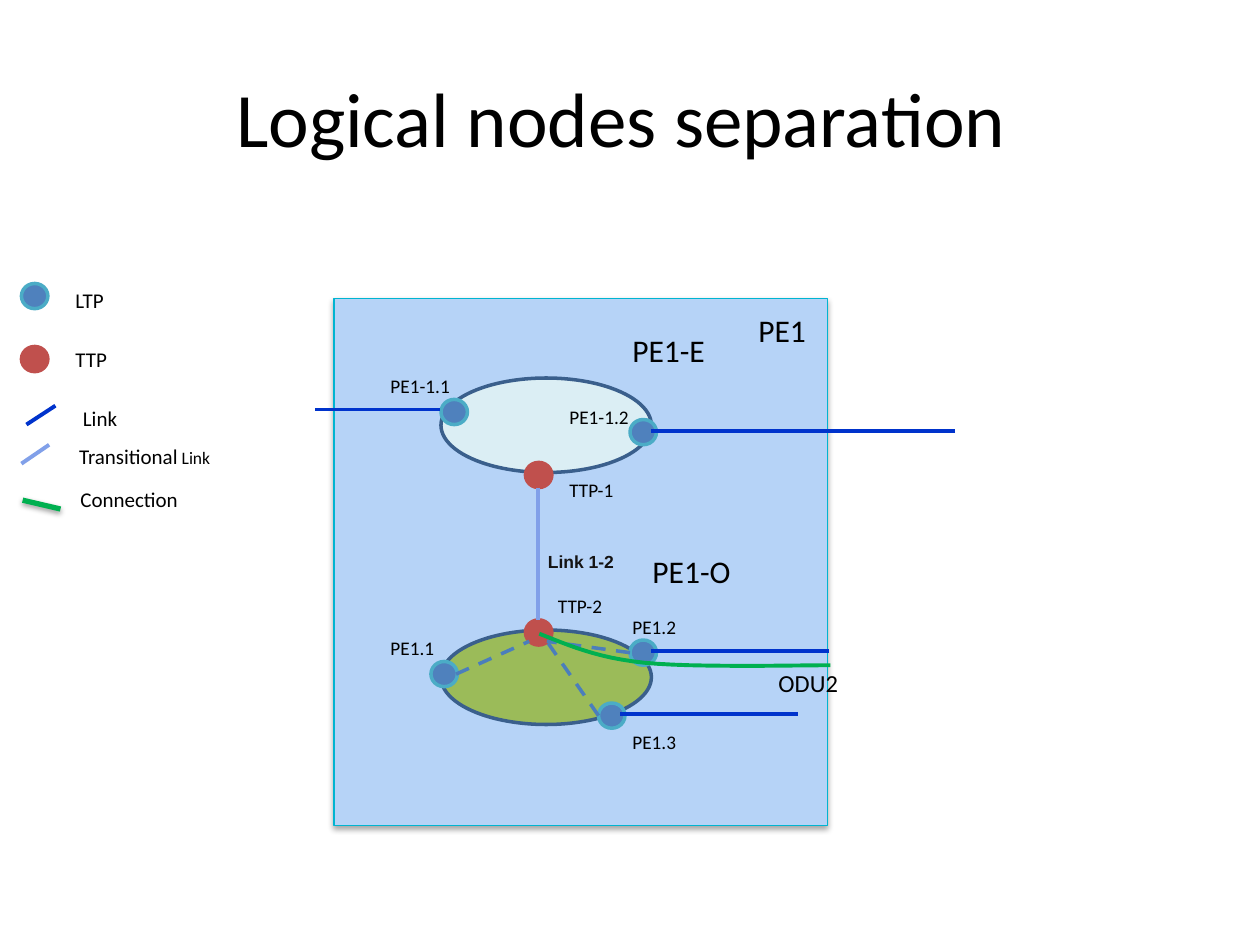
"""Builds the slide on logical nodes separation."""
from dataclasses import dataclass

from lxml import etree
from pptx import Presentation
from pptx.dml.color import RGBColor
from pptx.enum.dml import MSO_LINE
from pptx.enum.shapes import MSO_CONNECTOR, MSO_SHAPE
from pptx.enum.text import MSO_ANCHOR, PP_ALIGN
from pptx.oxml.ns import qn
from pptx.util import Inches, Pt


@dataclass(frozen=True)
class Theme:
    """Colours, fonts and type sizes."""
    font: str = "Calibri"
    link_font: str = "Arial"
    text: str = "000000"
    link_text: str = "141313"
    panel: str = "B6D3F7"
    panel_edge: str = "00B4D1"
    ethernet: str = "DBEEF4"
    optical: str = "9BBB59"
    node_edge: str = "3A5F8C"
    ltp: str = "4F81BD"
    ltp_edge: str = "4BACC6"
    ttp: str = "C0504D"
    link: str = "0033CC"
    transitional: str = "81A0E9"
    connection: str = "00B050"
    dashed: str = "4B7EBC"
    title_size: int = 44
    node_size: int = 18
    odu_size: int = 14
    legend_size: int = 12
    label_size: int = 11
    small_size: int = 10


THEME = Theme()


def rgb(value):
    """Turns a hex string into a colour."""
    return RGBColor.from_string(value)


def style_line(line, color, width):
    """Sets the colour and width of a line."""
    line.color.rgb = rgb(color)
    line.width = Pt(width)


def add_shadow(effects, alpha, distance):
    """Puts a soft downward shadow into an effect list."""
    shadow = etree.SubElement(effects, qn("a:outerShdw"), blurRad=str(Pt(3.1)),
                              dist=str(Pt(distance)), dir="5400000", rotWithShape="0")
    color = etree.SubElement(shadow, qn("a:srgbClr"), val="000000")
    etree.SubElement(color, qn("a:alpha"), val=str(alpha * 1000))


def add_run(paragraph, text, size, font=THEME.font, color=THEME.text, bold=False):
    """Adds one styled run of text."""
    run = paragraph.add_run()
    run.text = text
    run.font.name, run.font.size, run.font.bold = font, Pt(size), bold
    run.font.color.rgb = rgb(color)


def add_text(slide, box, runs, wrap=False):
    """Adds a text box made of (text, size) runs."""
    shape = slide.shapes.add_textbox(*map(Inches, box))
    shape.text_frame.word_wrap = wrap
    for text, size in runs:
        add_run(shape.text_frame.paragraphs[0], text, size)
    return shape


def add_shape(slide, kind, box, fill, edge, width=2):
    """Adds a filled, outlined shape without a shadow."""
    shape = slide.shapes.add_shape(kind, *map(Inches, box))
    shape.fill.solid()
    shape.fill.fore_color.rgb = rgb(fill)
    style_line(shape.line, edge, width)
    shape.shadow.inherit = False
    return shape


def add_point(slide, left, top, terminal=False):
    """Adds an LTP dot, or a TTP dot when terminal."""
    colors = (THEME.ttp, THEME.ttp) if terminal else (THEME.ltp, THEME.ltp_edge)
    add_shape(slide, MSO_SHAPE.OVAL, (left, top, 0.21, 0.2), *colors)


def add_line(slide, ends, color, width=2.25, dashed=False):
    """Adds a straight line and returns its effect list."""
    line = slide.shapes.add_connector(MSO_CONNECTOR.STRAIGHT, *map(Inches, ends))
    style_line(line.line, color, width)
    if dashed:
        line.line.dash_style = MSO_LINE.DASH
    return etree.SubElement(line._element.spPr, qn("a:effectLst"))


def add_curve(slide, start, segments, color, steps=12):
    """Draws an open curve through cubic Bezier segments."""
    points, origin = [], start
    for segment in segments:
        controls = (origin, *segment)
        for step in range(1, steps + 1):
            t = step / steps
            weights = ((1 - t) ** 3, 3 * t * (1 - t) ** 2, 3 * t * t * (1 - t), t ** 3)
            points.append(tuple(Inches(sum(w * p[axis] for w, p in zip(weights, controls)))
                                for axis in (0, 1)))
        origin = segment[-1]
    builder = slide.shapes.build_freeform(*map(Inches, start))
    builder.add_line_segments(points, close=False)
    curve = builder.convert_to_shape()
    curve.fill.background()
    style_line(curve.line, color, 2.25)
    curve.shadow.inherit = False


def add_title(slide):
    """Adds the centred heading."""
    title = add_text(slide, (0.5, 0.3, 9, 1.25),
                     [("Logical nodes separation ", THEME.title_size)], wrap=True)
    title.text_frame.vertical_anchor = MSO_ANCHOR.MIDDLE
    title.text_frame.paragraphs[0].alignment = PP_ALIGN.CENTER


def add_panel(slide):
    """Adds the PE1 panel with its link name and the two nodes."""
    panel = add_shape(slide, MSO_SHAPE.RECTANGLE, (2.65, 2.37, 3.92, 4.18),
                      THEME.panel, THEME.panel_edge, 0.75)
    add_shadow(panel._element.spPr.find(qn("a:effectLst")), 35, 1.8)
    panel.text_frame.vertical_anchor = MSO_ANCHOR.MIDDLE
    paragraph = panel.text_frame.paragraphs[0]
    paragraph.alignment = PP_ALIGN.CENTER
    add_run(paragraph, "Link 1-2", THEME.small_size, THEME.link_font, THEME.link_text, True)
    for top, fill in ((3, THEME.ethernet), (5, THEME.optical)):
        add_shape(slide, MSO_SHAPE.OVAL, (3.5, top, 1.67, 0.75), fill, THEME.node_edge)


def add_legend(slide):
    """Adds the key on the left."""
    add_point(slide, 0.17, 2.25)
    add_point(slide, 0.17, 2.75, terminal=True)
    add_line(slide, (0.44, 3.22, 0.21, 3.37), THEME.link)
    add_line(slide, (0.39, 3.53, 0.17, 3.68), THEME.transitional)
    add_shadow(add_line(slide, (0.18, 3.97, 0.48, 4.04), THEME.connection, 3), 38, 1.6)
    for left, top, width, text, *tail in (
            (0.5, 2.23, 1.87, "LTP"), (0.5, 2.7, 1.87, "TTP"), (0.56, 3.17, 0.88, "Link"),
            (0.53, 3.47, 1.46, "Transitional", (" Link", THEME.small_size)),
            (0.54, 3.81, 1.07, "Connection")):
        add_text(slide, (left, top, width, 0.3), [(text, THEME.legend_size), *tail], wrap=True)


def add_network(slide):
    """Adds the points, links and connection of the network."""
    for left, top in ((3.5, 3.17), (5, 3.33), (3.42, 5.25), (4.75, 5.58), (5, 5.08)):
        add_point(slide, left, top)
    for top in (3.67, 4.92):
        add_point(slide, 4.17, top, terminal=True)
    for start, end, y in ((3.49, 2.5, 3.25), (7.58, 5.17, 3.42),
                          (6.58, 5.17, 5.17), (6.33, 4.92, 5.67)):
        add_line(slide, (start, y, end, y), THEME.link)
    add_line(slide, (4.27, 3.87, 4.27, 4.92), THEME.transitional)
    for ends in ((3.62, 5.35, 4.2, 5.09), (5, 5.18, 4.34, 5.09), (4.75, 5.68, 4.34, 5.09)):
        add_line(slide, ends, THEME.dashed, 2, dashed=True)
    add_curve(slide, (4.28, 5.03),
              (((4.51, 5.12), (4.73, 5.22), (5.11, 5.26)),
               ((5.5, 5.3), (6.34, 5.28), (6.59, 5.28))), THEME.connection)


def add_labels(slide):
    """Names the nodes and points."""
    groups = (
        (THEME.node_size, 0.4, ((5.92, 2.42, 0.64, "PE1 "), (4.92, 2.58, 0.84, "PE1-E "),
                                (5.08, 4.33, 0.88, "PE1-O "))),
        (THEME.odu_size, 0.34, ((6.08, 5.25, 0.68, "ODU2"),)),
        (THEME.label_size, 0.29, ((3, 2.92, 0.68, "PE1-1.1"), (4.42, 3.17, 0.68, "PE1-1.2"),
                                  (3, 5, 0.55, "PE1.1"), (4.92, 4.83, 0.55, "PE1.2"),
                                  (4.92, 5.75, 0.55, "PE1.3"), (4.42, 3.75, 0.56, "TTP-1"),
                                  (4.33, 4.67, 0.56, "TTP-2"))))
    for size, height, labels in groups:
        for left, top, width, text in labels:
            add_text(slide, (left, top, width, height), [(text, size)])


def main():
    """Builds and saves the slide."""
    deck = Presentation()
    deck.slide_width, deck.slide_height = Inches(10), Inches(7.5)
    slide = deck.slides.add_slide(deck.slide_layouts[6])
    for part in (add_title, add_panel, add_legend, add_network, add_labels):
        part(slide)
    deck.save("out.pptx")


main()
